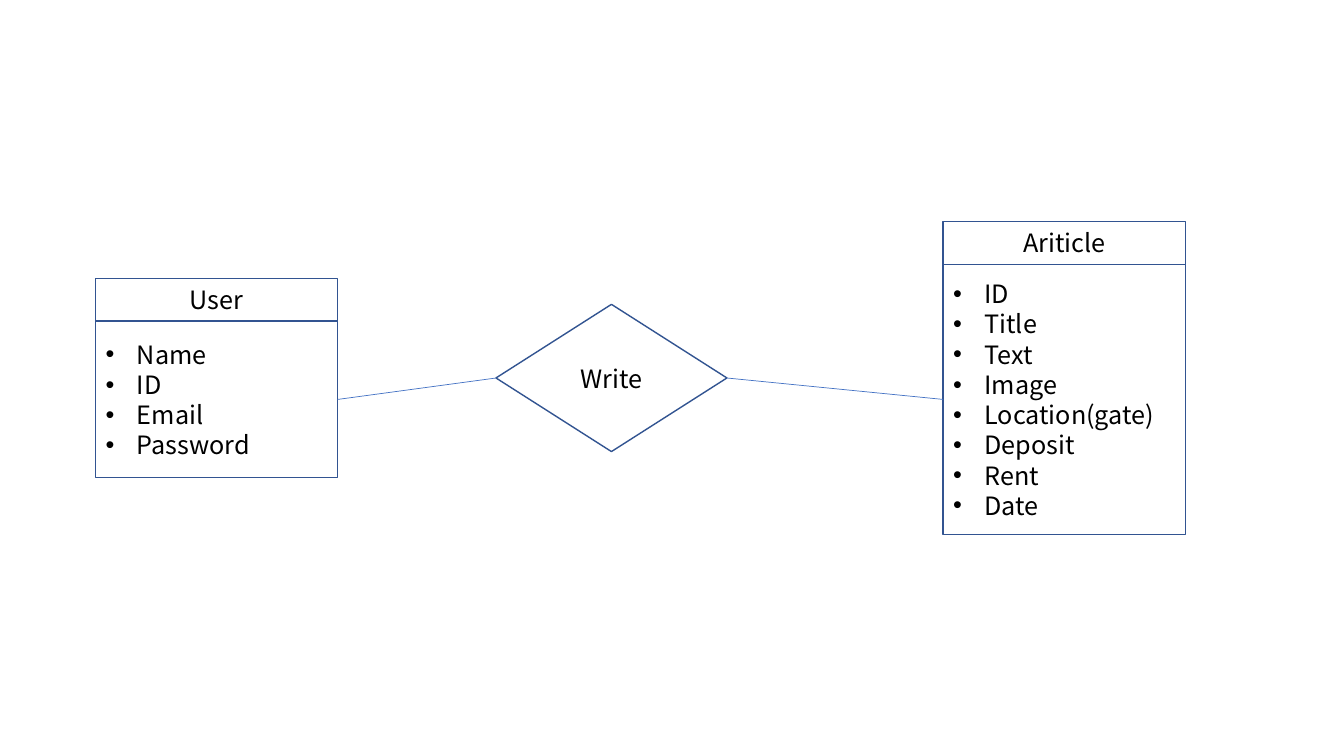
from dataclasses import dataclass

from lxml.etree import SubElement
from pptx import Presentation
from pptx.dml.color import RGBColor
from pptx.enum.shapes import MSO_CONNECTOR as Connector, MSO_SHAPE as Shape
from pptx.enum.text import MSO_ANCHOR as Anchor, PP_ALIGN as Align
from pptx.oxml.ns import qn
from pptx.util import Cm, Pt

USER = {"name": "User", "left": 2.41, "body_height": 3.94,
        "fields": ["Name", "ID", "Email", "Password"]}
ARTICLE = {"name": "Ariticle", "left": 23.77, "body_height": 6.81,
           "fields": ["ID", "Title", "Text", "Image", "Location(gate)",
                      "Deposit", "Rent", "Date"]}
RELATION = {"name": "Write", "left": 12.5, "width": 5.82, "height": 3.71}

SLIDE_WIDTH, SLIDE_HEIGHT = 33.87, 19.05
MIDDLE = SLIDE_HEIGHT / 2
ENTITY_WIDTH, HEADER_HEIGHT = 6.1, 1.08
BULLET_INDENT = 0.79
LEFT_SIDE, RIGHT_SIDE = 1, 3
DIAMOND_LEFT, DIAMOND_RIGHT = 1, 3


@dataclass(frozen=True)
class Theme:
    font: str = "Noto Sans CJK KR"
    size: Pt = Pt(18)
    text: RGBColor = RGBColor(0, 0, 0)
    outline: RGBColor = RGBColor(0x32, 0x54, 0x91)
    outline_width: Pt = Pt(1)
    link: RGBColor = RGBColor(0x44, 0x72, 0xC4)
    link_width: Pt = Pt(0.5)


THEME = Theme()


def add_bullet(paragraph):
    properties = paragraph._p.get_or_add_pPr()
    properties.set("marL", str(Cm(BULLET_INDENT)))
    properties.set("indent", str(-Cm(BULLET_INDENT)))
    SubElement(properties, qn("a:buFont")).set("typeface", "Arial")
    SubElement(properties, qn("a:buChar")).set("char", "•")


def write(frame, lines, align=Align.CENTER, bullets=False):
    frame.word_wrap = True
    frame.vertical_anchor = Anchor.MIDDLE
    for number, line in enumerate(lines):
        paragraph = frame.add_paragraph() if number else frame.paragraphs[0]
        paragraph.alignment = align
        if bullets:
            add_bullet(paragraph)
        run = paragraph.add_run()
        run.text = line
        run.font.name = THEME.font
        run.font.size = THEME.size
        run.font.color.rgb = THEME.text
        SubElement(run.font._element, qn("a:ea")).set("typeface", THEME.font)


def add_outlined(shapes, kind, left, top, width, height):
    outlined = shapes.add_shape(kind, Cm(left), Cm(top), Cm(width), Cm(height))
    outlined.shadow.inherit = False
    outlined.fill.background()
    outlined.line.color.rgb = THEME.outline
    outlined.line.width = THEME.outline_width
    return outlined


def add_entity(slide, entity):
    """Group a header and its field list, centred vertically; return the list."""
    left, body_height = entity["left"], entity["body_height"]
    top = MIDDLE - (HEADER_HEIGHT + body_height) / 2
    group = slide.shapes.add_group_shape()
    header = add_outlined(group.shapes, Shape.RECTANGLE,
                          left, top, ENTITY_WIDTH, HEADER_HEIGHT)
    write(header.text_frame, [entity["name"]])
    body = add_outlined(group.shapes, Shape.RECTANGLE,
                        left, top + HEADER_HEIGHT, ENTITY_WIDTH, body_height)
    write(body.text_frame, entity["fields"], align=Align.LEFT, bullets=True)
    return body


def add_relation(slide, relation):
    diamond = add_outlined(slide.shapes, Shape.DIAMOND, relation["left"],
                           MIDDLE - relation["height"] / 2,
                           relation["width"], relation["height"])
    write(diamond.text_frame, [relation["name"]])
    return diamond


def link(slide, start, start_side, end, end_side):
    connector = slide.shapes.add_connector(Connector.STRAIGHT, 0, 0, 0, 0)
    connector.begin_connect(start, start_side)
    connector.end_connect(end, end_side)
    connector.line.color.rgb = THEME.link
    connector.line.width = THEME.link_width
    SubElement(connector._element.spPr, qn("a:effectLst"))


def main():
    deck = Presentation()
    deck.slide_width, deck.slide_height = Cm(SLIDE_WIDTH), Cm(SLIDE_HEIGHT)
    slide = deck.slides.add_slide(deck.slide_layouts[6])
    user = add_entity(slide, USER)
    article = add_entity(slide, ARTICLE)
    relation = add_relation(slide, RELATION)
    link(slide, user, RIGHT_SIDE, relation, DIAMOND_LEFT)
    link(slide, relation, DIAMOND_RIGHT, article, LEFT_SIDE)
    deck.save("out.pptx")


if __name__ == "__main__":
    main()
